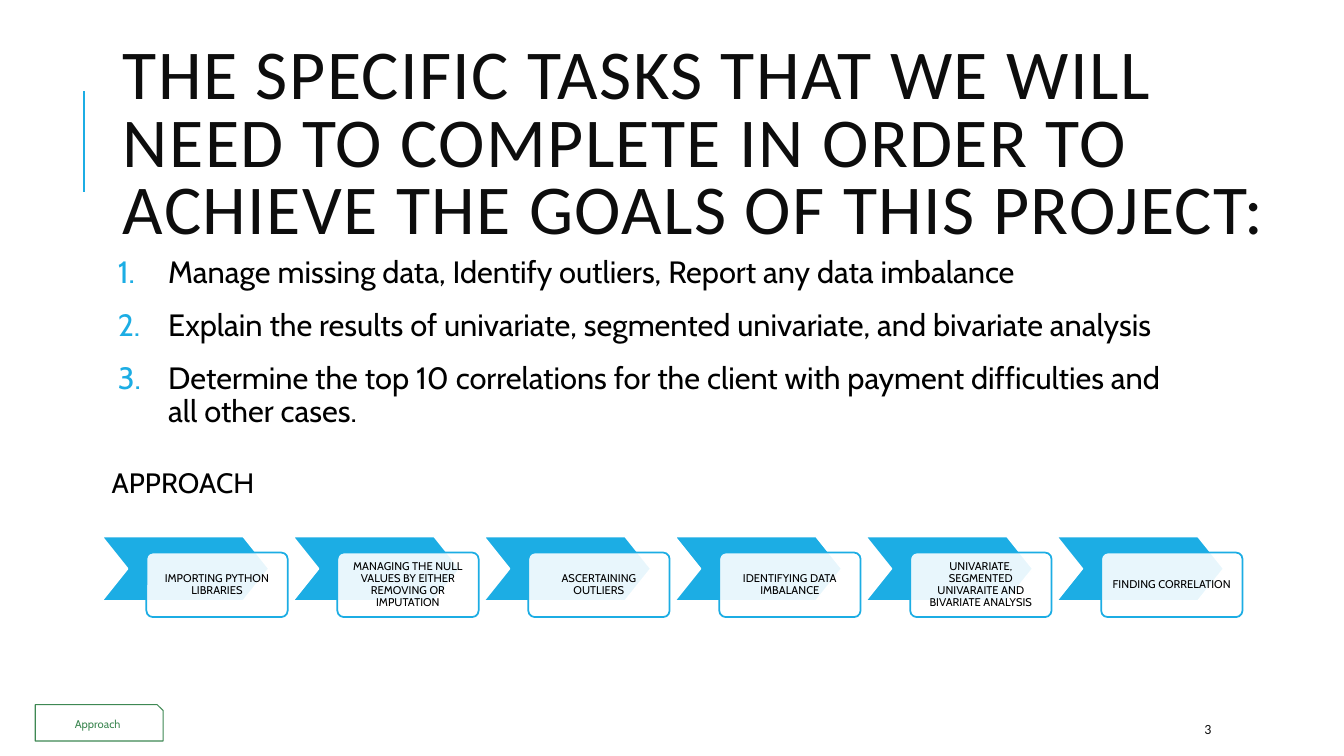
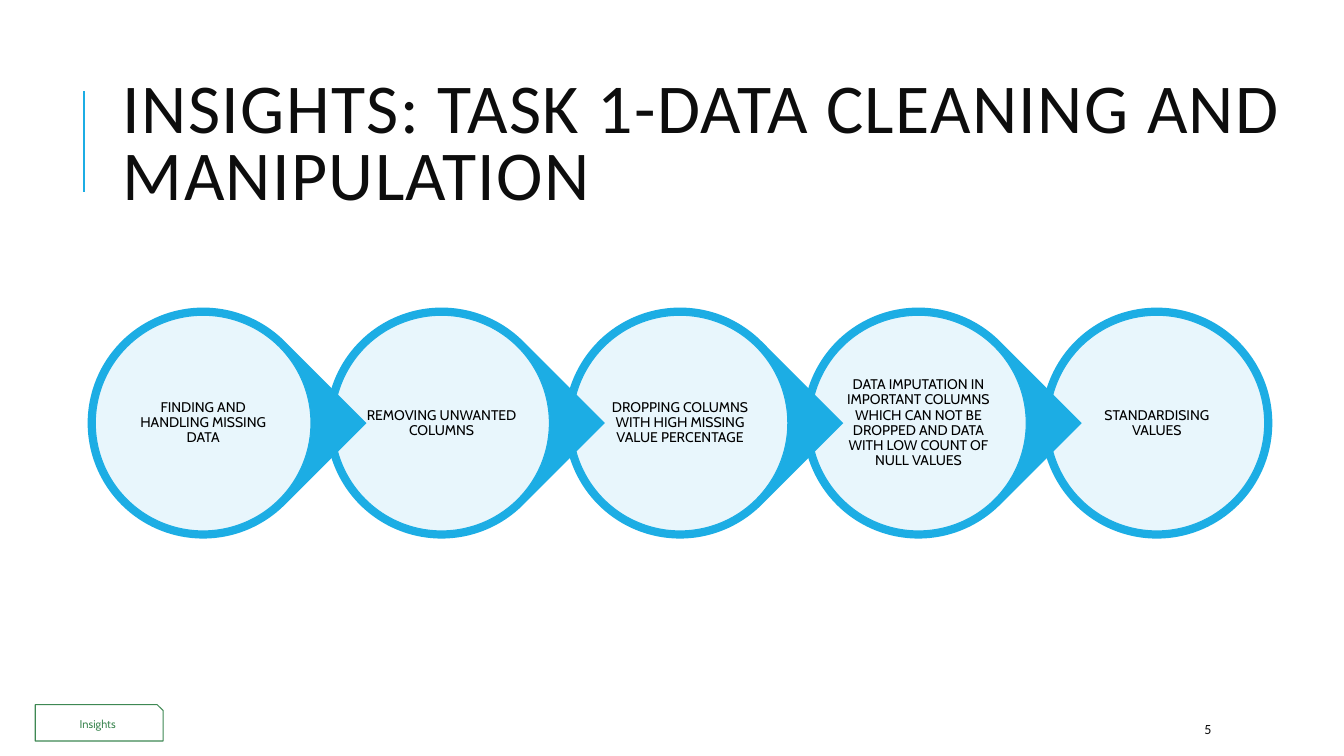
from lxml import etree
from pptx import Presentation
from pptx.dml.color import RGBColor
from pptx.enum import shapes, text
from pptx.oxml import ns
from pptx.util import Pt

COLORS = {"accent": "1CADE4", "title": "0D0D0D", "ink": "000000", "white": "FFFFFF", "tag": "3E8853"}
BODY_FONT, TITLE_FONT = "Cabin", "Calibri"
SHAPE = shapes.MSO_SHAPE
MIDDLE, CENTER, LEFT = text.MSO_ANCHOR.MIDDLE, text.PP_ALIGN.CENTER, text.PP_ALIGN.LEFT


def write(shape, lines, size, color="ink", font=BODY_FONT, align=LEFT, spacing=None,
          anchor=None, insets=(7.2, 3.6)):
    """Fill a shape with one run per line; insets are (horizontal, vertical)."""
    frame = shape.text_frame
    frame.word_wrap = True
    frame.auto_size = text.MSO_AUTO_SIZE.NONE
    frame.vertical_anchor = anchor
    frame.margin_left = frame.margin_right = Pt(insets[0])
    frame.margin_top = frame.margin_bottom = Pt(insets[1])
    for i, line in enumerate(lines):
        paragraph = frame.add_paragraph() if i else frame.paragraphs[0]
        paragraph.alignment = align
        paragraph.line_spacing = spacing
        run = paragraph.add_run()
        run.text = line
        run.font.size = Pt(size)
        run.font.name = font
        run.font.color.rgb = RGBColor.from_string(COLORS[color])
    return frame


def add_figure(slide, kind, box, fill=None, line=None, width=0.75, alpha=None):
    """Add a preset shape; box is (left, top, width, height), alpha a percentage."""
    figure = slide.shapes.add_shape(kind, *map(Pt, box))
    figure.shadow.inherit = False
    if fill:
        figure.fill.solid()
        figure.fill.fore_color.rgb = RGBColor.from_string(COLORS[fill])
        if alpha:
            color = figure.fill._xPr.find(".//" + ns.qn("a:srgbClr"))
            etree.SubElement(color, ns.qn("a:alpha"), val=str(alpha * 1000))
    else:
        figure.fill.background()
    if line:
        figure.line.color.rgb = RGBColor.from_string(COLORS[line])
        figure.line.width = Pt(width)
    else:
        figure.line.fill.background()
    return figure


prs = Presentation()
prs.slide_width, prs.slide_height = Pt(960), Pt(540)

# Shared frame: title, rail, section tag and page number
pages = [
    ("THE SPECIFIC TASKS THAT WE WILL NEED TO COMPLETE IN ORDER TO ACHIEVE THE GOALS OF THIS PROJECT:",
     869, "Approach", "3"),
    ("INSIGHTS: TASK 1-DATA CLEANING AND MANIPULATION", 848, "Insights", "5"),
]
for heading, heading_width, section, number in pages:
    slide = prs.slides.add_slide(prs.slide_layouts[5])
    title = slide.shapes.title
    title.left, title.top, title.width, title.height = Pt(80.6), Pt(46), Pt(heading_width), Pt(118)
    frame = write(title, [heading], 50, "title", TITLE_FONT, spacing=0.8, anchor=MIDDLE)
    frame.paragraphs[0].runs[0].font._element.set("spc", "100")

    rail = slide.shapes.add_connector(shapes.MSO_CONNECTOR.STRAIGHT, Pt(60), Pt(137), Pt(60), Pt(65))
    rail.line.color.rgb = RGBColor.from_string(COLORS["accent"])
    rail.line.width = Pt(1.5)
    etree.SubElement(rail._element.spPr, ns.qn("a:effectLst"))

    tag = add_figure(slide, SHAPE.SNIP_1_RECTANGLE, (25.2, 503.3, 91.4, 26), line="tag")
    write(tag, [section], 8, "tag", align=CENTER, anchor=MIDDLE)
    page_number = slide.shapes.add_textbox(Pt(853.2), Pt(509.8), Pt(76), Pt(21.6))
    write(page_number, [number], 10, "title", TITLE_FONT, anchor=MIDDLE)

tasks_slide, insights_slide = prs.slides

# Tasks
tasks = [
    "Manage missing data, Identify outliers, Report any data imbalance",
    "Explain the results of univariate, segmented univariate, and bivariate analysis",
    "Determine the top 10 correlations for the client with payment difficulties and all other cases.",
]
task_list = tasks_slide.shapes.add_textbox(Pt(80.6), Pt(180), Pt(765.4), Pt(134))
frame = write(task_list, tasks, 22, spacing=0.9, insets=(3.6, 3.6))
for i, paragraph in enumerate(frame.paragraphs):
    paragraph.space_before = Pt(12 if i else 0)
    paragraph.space_after = Pt(2)
    props = paragraph._p.get_or_add_pPr()
    props.set("marL", str(Pt(36)))
    props.set("indent", str(-Pt(36)))
    bullet_color = etree.SubElement(props, ns.qn("a:buClr"))
    etree.SubElement(bullet_color, ns.qn("a:srgbClr"), val=COLORS["accent"])
    etree.SubElement(props, ns.qn("a:buAutoNum"), type="arabicPeriod")

approach = tasks_slide.shapes.add_textbox(Pt(72.7), Pt(329), Pt(128), Pt(31.7))
write(approach, ["APPROACH"], 20)

# Approach steps
steps = [
    "IMPORTING PYTHON LIBRARIES",
    "MANAGING THE NULL VALUES BY EITHER REMOVING OR IMPUTATION",
    "ASCERTAINING OUTLIERS",
    "IDENTIFYING DATA IMBALANCE",
    "UNIVARIATE, SEGMENTED UNIVARAITE AND BIVARIATE ANALYSIS",
    "FINDING CORRELATION",
]
for i, step in enumerate(steps):
    left = 72.7 + i * 136.4
    chevron = add_figure(tasks_slide, SHAPE.CHEVRON, (left, 383.2, 119.5, 46.1), "accent", "white", 1.25)
    chevron.adjustments[0] = 0.4
    card = add_figure(tasks_slide, SHAPE.ROUNDED_RECTANGLE, (left + 31.9, 394.7, 100.9, 46.1),
                      "white", "accent", 1.25, alpha=90)
    card.adjustments[0] = 0.1
    write(card, [step], 8, align=CENTER, spacing=0.9, anchor=MIDDLE, insets=(4.3, 4.3))

# Cleaning chain, drawn from the last stage so that each tip overlaps the next circle
stages = [
    "FINDING AND HANDLING MISSING DATA",
    "REMOVING UNWANTED COLUMNS",
    "DROPPING COLUMNS WITH HIGH MISSING VALUE PERCENTAGE",
    "DATA IMPUTATION IN IMPORTANT COLUMNS WHICH CAN NOT BE DROPPED AND DATA WITH LOW COUNT OF NULL VALUES",
    "STANDARDISING VALUES",
]
RING, DISC = 165, 154
rim = (RING - DISC) / 2
for i, stage in reversed(list(enumerate(stages))):
    left, top = 62.6 + i * 170.3, 219.7
    is_last = i == len(stages) - 1
    ring = add_figure(insights_slide, SHAPE.OVAL if is_last else SHAPE.TEAR,
                      (left, top, RING, RING), "accent")
    if not is_last:
        ring.rotation = 45
    disc = add_figure(insights_slide, SHAPE.OVAL, (left + rim, top + rim, DISC, DISC),
                      "white", "accent", alpha=90)
    write(disc, [stage], 10, align=CENTER, spacing=0.9, anchor=MIDDLE, insets=(0, 0))

prs.save("out.pptx")
